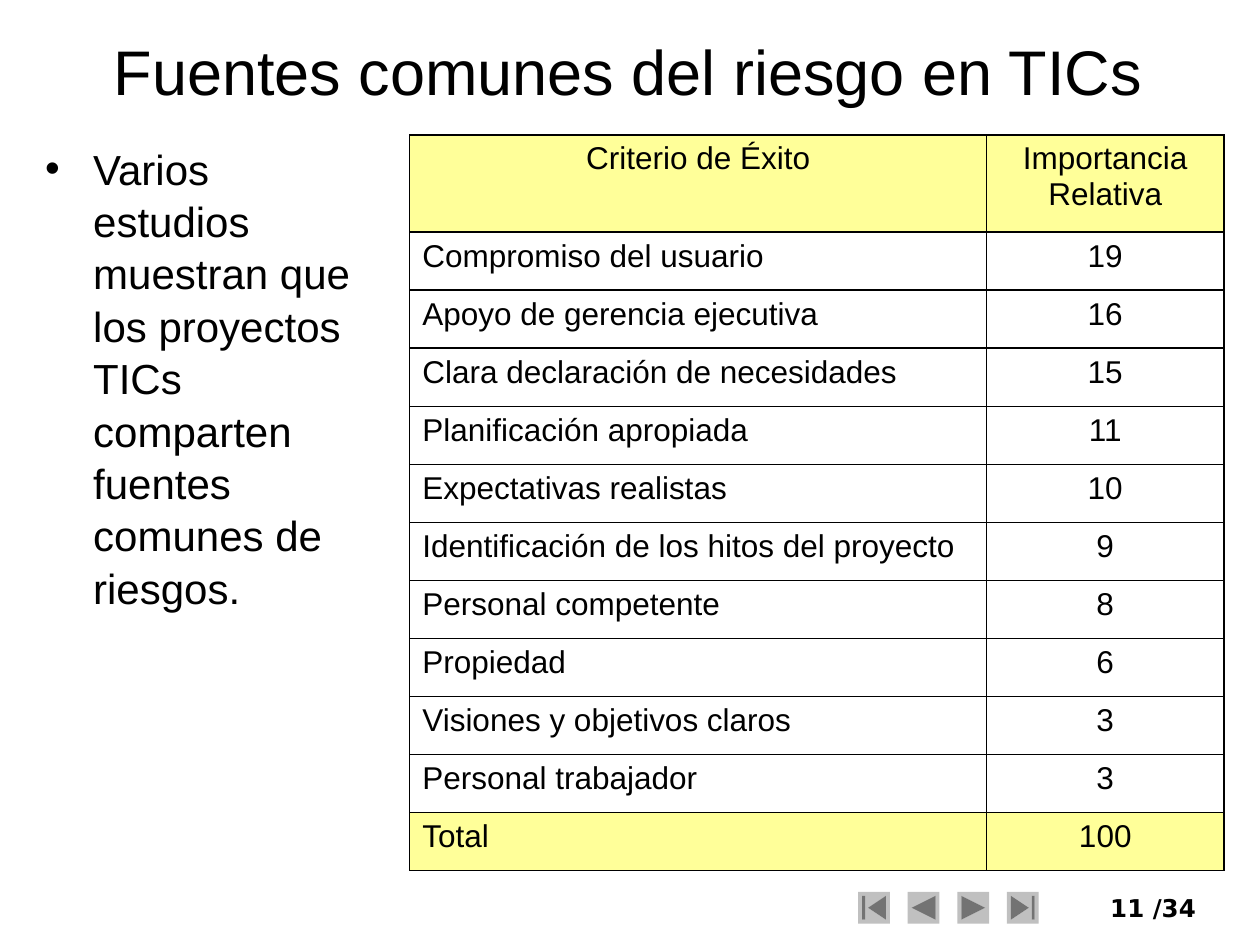
from lxml.etree import SubElement
from pptx import Presentation
from pptx.dml.color import RGBColor
from pptx.enum.shapes import MSO_SHAPE
from pptx.enum.text import MSO_ANCHOR, PP_ALIGN
from pptx.oxml.ns import qn
from pptx.util import Cm, Pt

BLACK = "000000"
YELLOW = "FFFF99"
GREY = "C0C0C0"

CRITERIA = [
    ("Criterio de Éxito", "Importancia Relativa"),
    ("Compromiso del usuario", "19"),
    ("Apoyo de gerencia ejecutiva", "16"),
    ("Clara declaración de necesidades", "15"),
    ("Planificación apropiada", "11"),
    ("Expectativas realistas", "10"),
    ("Identificación de los hitos del proyecto", "9"),
    ("Personal competente", "8"),
    ("Propiedad", "6"),
    ("Visiones y objetivos claros", "3"),
    ("Personal trabajador", "3"),
    ("Total", "100"),
]
BUTTONS = [
    MSO_SHAPE.ACTION_BUTTON_BEGINNING,
    MSO_SHAPE.ACTION_BUTTON_BACK_OR_PREVIOUS,
    MSO_SHAPE.ACTION_BUTTON_FORWARD_OR_NEXT,
    MSO_SHAPE.ACTION_BUTTON_END,
]


def color(value):
    return RGBColor.from_string(value)


def write(text_frame, text, size, align=PP_ALIGN.LEFT, font="Arial", bold=False):
    text_frame.text = text
    paragraph = text_frame.paragraphs[0]
    paragraph.alignment = align
    run_font = paragraph.runs[0].font
    run_font.name = font
    run_font.size = Pt(size)
    run_font.bold = bold
    run_font.color.rgb = color(BLACK)
    return paragraph


def add_text(slide, box, text, size, **style):
    shape = slide.shapes.add_textbox(*map(Cm, box))
    shape.text_frame.word_wrap = True
    write(shape.text_frame, text, size, **style)
    return shape


def add_bullet(paragraph, indent):
    properties = paragraph._p.get_or_add_pPr()
    properties.set("marL", str(Cm(indent)))
    properties.set("indent", str(-Cm(indent)))
    SubElement(properties, qn("a:buFont"), typeface="Arial")
    SubElement(properties, qn("a:buChar"), char="•")


def add_button(slide, kind, left):
    button = slide.shapes.add_shape(kind, Cm(left), Cm(17.98), Cm(0.64), Cm(0.64))
    button.shadow.inherit = False
    button.fill.solid()
    button.fill.fore_color.rgb = color(GREY)
    button.line.fill.background()


def set_borders(cell):
    properties = cell._tc.get_or_add_tcPr()
    for position, side in enumerate(("a:lnL", "a:lnR", "a:lnT", "a:lnB")):
        line = properties.makeelement(qn(side), {"w": str(Pt(1))})
        fill = SubElement(line, qn("a:solidFill"))
        SubElement(fill, qn("a:srgbClr"), val=BLACK)
        properties.insert(position, line)


def fill_cell(cell, text, align, highlighted):
    write(cell.text_frame, text, 18, align)
    if highlighted:
        cell.fill.solid()
        cell.fill.fore_color.rgb = color(YELLOW)
    else:
        cell.fill.background()
    set_borders(cell)


def add_criteria_table(slide):
    last = len(CRITERIA) - 1
    table = slide.shapes.add_table(
        len(CRITERIA), 2, Cm(8.26), Cm(2.72), Cm(16.41), Cm(14.83)
    ).table
    table.horz_banding = False
    table.columns[0].width = Cm(11.63)
    table.columns[1].width = Cm(4.78)
    for index, (criterion, weight) in enumerate(CRITERIA):
        table.rows[index].height = Cm(1.17 if index else 1.96)
        highlighted = index in (0, last)
        align = PP_ALIGN.LEFT if index else PP_ALIGN.CENTER
        fill_cell(table.cell(index, 0), criterion, align, highlighted)
        fill_cell(table.cell(index, 1), weight, PP_ALIGN.CENTER, highlighted)


def add_footer(slide):
    for index, kind in enumerate(BUTTONS):
        add_button(slide, kind, 17.3 + index)
    style = {"font": "DejaVu Sans", "bold": True}
    add_text(slide, (21.31, 17.88, 2.01, 0.84), "11", 14, align=PP_ALIGN.RIGHT, **style)
    add_text(slide, (22.99, 17.88, 1.63, 0.84), "/34", 14, **style)


def main():
    presentation = Presentation()
    presentation.slide_width = Cm(25.4)
    presentation.slide_height = Cm(19.05)
    slide = presentation.slides.add_slide(presentation.slide_layouts[6])

    add_footer(slide)
    title = add_text(
        slide, (0.66, 0.53, 24, 1.78), "Fuentes comunes del riesgo en TICs", 36,
        align=PP_ALIGN.CENTER,
    )
    title.text_frame.vertical_anchor = MSO_ANCHOR.MIDDLE
    body = add_text(
        slide, (0.66, 2.72, 6.76, 14.81),
        "Varios estudios muestran que los proyectos TICs comparten fuentes comunes de riesgos.",
        24,
    )
    paragraph = body.text_frame.paragraphs[0]
    paragraph.line_spacing = 1.04
    add_bullet(paragraph, 0.97)
    add_criteria_table(slide)

    presentation.save("out.pptx")


if __name__ == "__main__":
    main()
